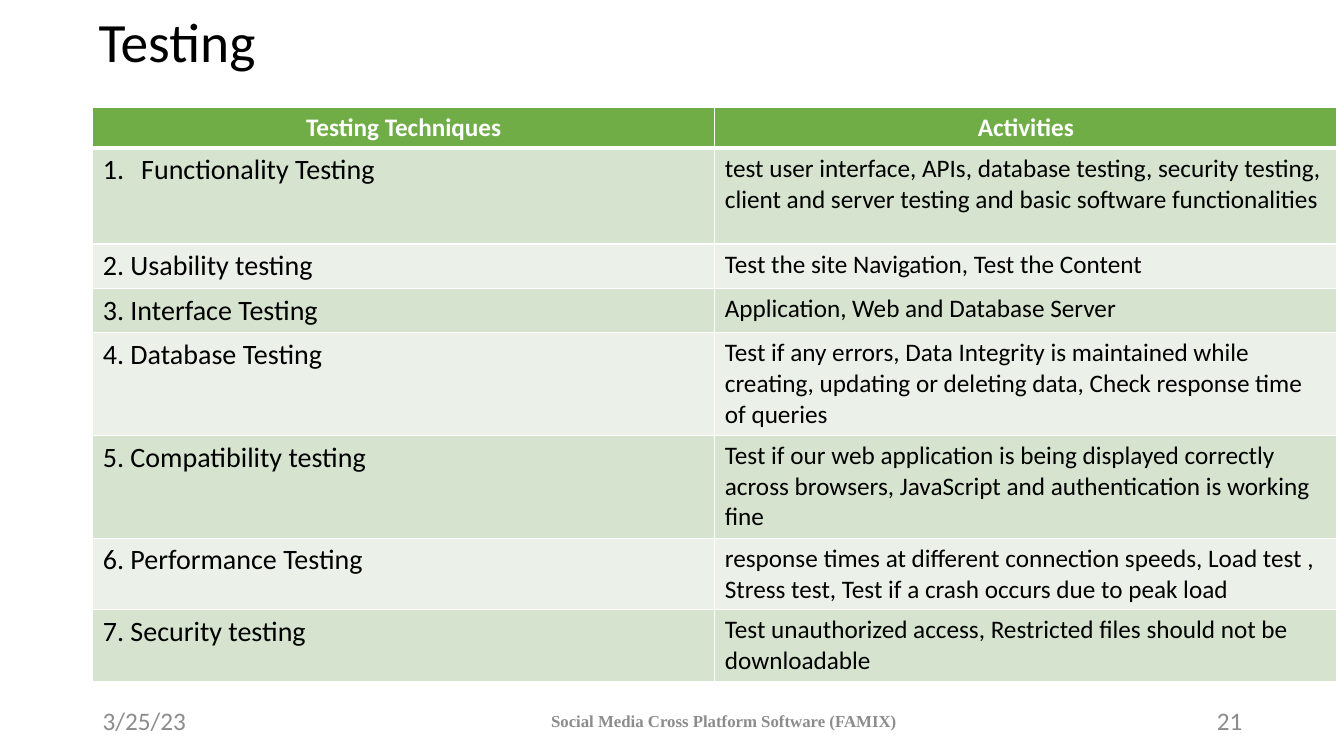
from lxml import etree
from pptx import Presentation
from pptx.dml.color import RGBColor
from pptx.enum.text import MSO_ANCHOR, PP_ALIGN
from pptx.oxml.ns import qn
from pptx.util import Inches, Pt

BLACK = RGBColor(0x00, 0x00, 0x00)
WHITE = RGBColor(0xFF, 0xFF, 0xFF)
GRAY = RGBColor(0x8C, 0x8C, 0x8C)
GREEN = RGBColor(0x70, 0xAD, 0x47)
BANDS = (RGBColor(0xD5, 0xE3, 0xCF), RGBColor(0xEB, 0xF1, 0xE9))

HEADINGS = ("Testing Techniques", "Activities")
TECHNIQUES = [
    ("Functionality Testing", "test user interface, APIs, database testing, security testing, "
     "client and server testing and basic software functionalities", 0.95),
    ("2. Usability testing", "Test the site Navigation, Test the Content", 0.44),
    ("3. Interface Testing", "Application, Web and Database Server", 0.44),
    ("4. Database Testing", "Test if any errors, Data Integrity is maintained while creating, "
     "updating or deleting data, Check response time of queries", 1.02),
    ("5. Compatibility testing", "Test if our web application is being displayed correctly "
     "across browsers, JavaScript and authentication is working fine", 1.02),
    ("6. Performance Testing", "response times at different connection speeds, Load test , "
     "Stress test, Test if a crash occurs due to peak load", 0.71),
    ("7. Security testing", "Test unauthorized access, Restricted files should not be "
     "downloadable", 0.71),
]
HEADER_HEIGHT = 0.4


def style_paragraph(paragraph, size, color, font="Calibri", bold=False, align=PP_ALIGN.LEFT):
    paragraph.alignment = align
    for run in paragraph.runs:
        run.font.name = font
        run.font.size = Pt(size)
        run.font.bold = bold
        run.font.color.rgb = color


def add_label(slide, box, text, size, color, **style):
    """Add a vertically centred text box and return its paragraph."""
    text_frame = slide.shapes.add_textbox(*map(Inches, box)).text_frame
    text_frame.word_wrap = True
    text_frame.vertical_anchor = MSO_ANCHOR.MIDDLE
    text_frame.text = text
    paragraph = text_frame.paragraphs[0]
    style_paragraph(paragraph, size, color, **style)
    return paragraph


def set_borders(cell, bottom_width):
    """Draw white borders; they precede the fill in the cell properties."""
    properties = cell._tc.get_or_add_tcPr()
    widths = {"a:lnL": 1, "a:lnR": 1, "a:lnT": 1, "a:lnB": bottom_width}
    for position, (tag, width) in enumerate(widths.items()):
        line = etree.Element(qn(tag), w=str(Pt(width)))
        fill = etree.SubElement(line, qn("a:solidFill"))
        etree.SubElement(fill, qn("a:srgbClr"), val=str(WHITE))
        properties.insert(position, line)


def number_paragraph(paragraph):
    properties = paragraph._p.get_or_add_pPr()
    properties.set("marL", str(Inches(0.38)))
    properties.set("indent", str(-Inches(0.38)))
    etree.SubElement(properties, qn("a:buFont"), typeface="+mj-lt")
    etree.SubElement(properties, qn("a:buAutoNum"), type="arabicPeriod")


def fill_cell(cell, text, fill, size, color, bottom_width=1, **style):
    cell.text = text
    cell.fill.solid()
    cell.fill.fore_color.rgb = fill
    set_borders(cell, bottom_width)
    style_paragraph(cell.text_frame.paragraphs[0], size, color, **style)


def add_testing_table(slide, left, top, width):
    heights = [HEADER_HEIGHT] + [height for _, _, height in TECHNIQUES]
    table = slide.shapes.add_table(len(heights), len(HEADINGS), Inches(left), Inches(top),
                                   Inches(width), Inches(sum(heights))).table
    table.horz_banding = False
    for row, height in zip(table.rows, heights):
        row.height = Inches(height)
    for column, heading in enumerate(HEADINGS):
        fill_cell(table.cell(0, column), heading, GREEN, 18, WHITE, bottom_width=3,
                  bold=True, align=PP_ALIGN.CENTER)
    for row, (technique, activities, _) in enumerate(TECHNIQUES, start=1):
        band = BANDS[(row - 1) % 2]
        fill_cell(table.cell(row, 0), technique, band, 20, BLACK)
        fill_cell(table.cell(row, 1), activities, band, 18, BLACK)
    number_paragraph(table.cell(1, 0).text_frame.paragraphs[0])


def add_footer(slide, top, height):
    add_label(slide, (0.92, top, 3, height), "3/25/23", 18, GRAY)
    add_label(slide, (4.42, top, 5.52, height), "Social Media Cross Platform Software (FAMIX)",
              12, GRAY, font="Times New Roman", bold=True, align=PP_ALIGN.CENTER)
    add_label(slide, (9.42, top, 3, height), "21", 18, GRAY, align=PP_ALIGN.RIGHT)


def main():
    presentation = Presentation()
    presentation.slide_width = Inches(13.33)
    presentation.slide_height = Inches(7.5)
    slide = presentation.slides.add_slide(presentation.slide_layouts[6])
    title = add_label(slide, (0.88, 0.07, 10.9, 0.75), "Testing", 39.6, BLACK)
    title.line_spacing = 0.9
    add_testing_table(slide, 0.92, 1.07, 12.34)
    add_footer(slide, 6.95, 0.4)
    presentation.save("out.pptx")


if __name__ == "__main__":
    main()
